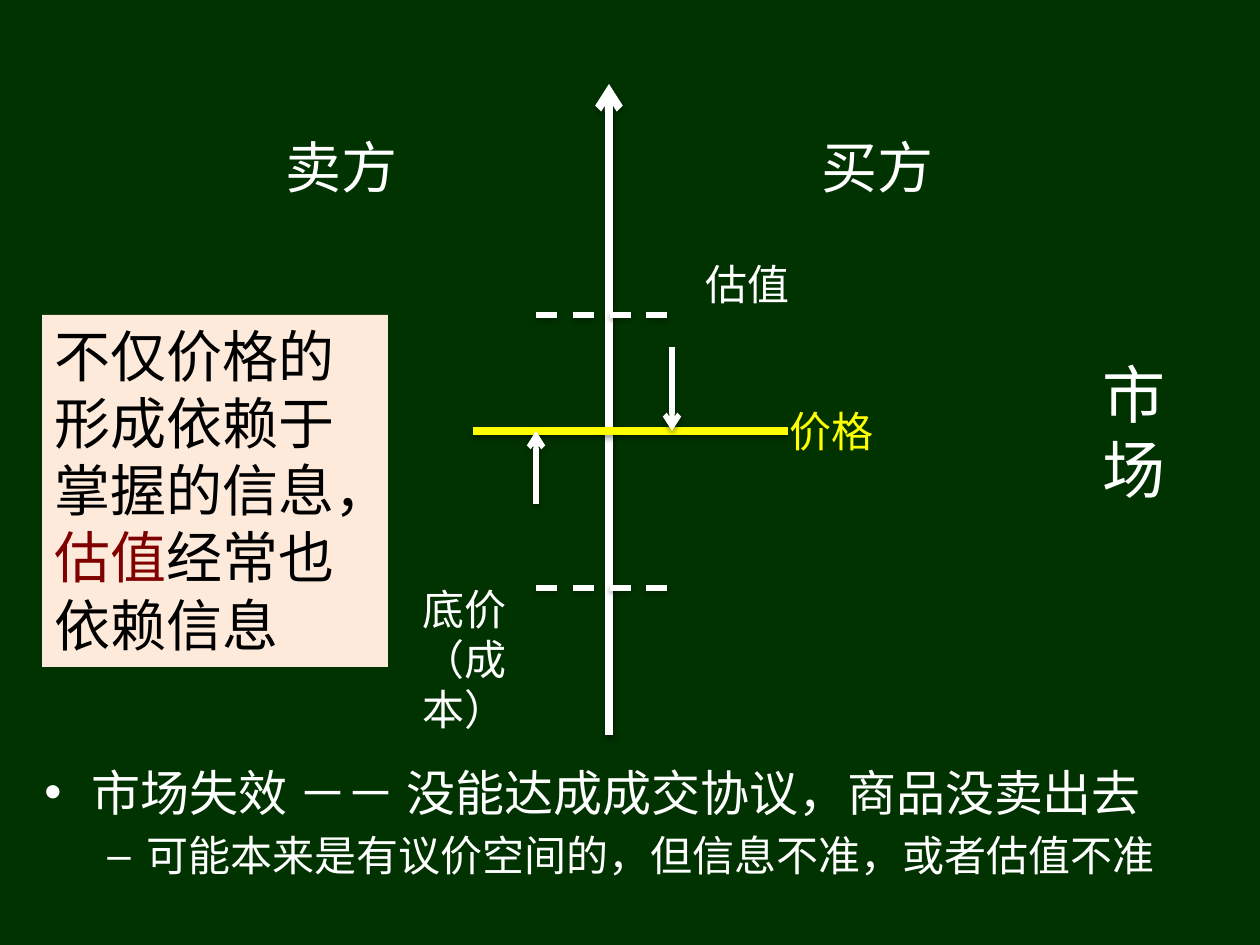
"""Build the slide on price formation and market failure."""
import pptx
import pptx.dml.color
import pptx.enum.dml
import pptx.enum.shapes
import pptx.enum.text
import pptx.oxml
import pptx.oxml.ns
import pptx.util

PX = 914400 / 126
FONT = "Noto Sans CJK SC"
NS = pptx.oxml.ns.nsdecls("a")
SHADOW = (
    f'<a:effectLst {NS}><a:outerShdw blurRad="40000" dist="20000" dir="5400000" rotWithShape="0">'
    '<a:srgbClr val="000000"><a:alpha val="38000"/></a:srgbClr></a:outerShdw></a:effectLst>'
)


def rgb(value):
    return pptx.dml.color.RGBColor.from_string(value)


def style(p, size, color):
    for r in p.runs:
        r.font.size = pptx.util.Pt(size)
        r.font.name = FONT
        r.font.color.rgb = rgb(color)
        r.font._element.append(pptx.oxml.parse_xml(f'<a:ea {NS} typeface="{FONT}"/>'))


prs = pptx.Presentation()
prs.slide_width = pptx.util.Inches(10)
prs.slide_height = pptx.util.Inches(7.5)
s = prs.slides.add_slide(prs.slide_layouts[6])
s.background.fill.solid()
s.background.fill.fore_color.rgb = rgb("003300")

lines = [
    ((609, 735, 609, 84), "FFFFFF", 4.5, False, True),
    ((536, 315, 672, 315), "FFFFFF", 3, True, False),
    ((473, 431, 788, 431), "FFFF00", 4.5, False, False),
    ((536, 588, 672, 588), "FFFFFF", 3, True, False),
    ((672, 347, 672, 431), "FFFFFF", 3, False, True),
    ((536, 504, 536, 431), "FFFFFF", 3, False, True),
]
for ends, color, width, dashed, arrow in lines:
    sp = s.shapes.add_connector(
        pptx.enum.shapes.MSO_CONNECTOR.STRAIGHT, *[round(v * PX) for v in ends])
    sp.line.color.rgb = rgb(color)
    sp.line.width = pptx.util.Pt(width)
    if dashed:
        sp.line.dash_style = pptx.enum.dml.MSO_LINE.DASH
    if arrow:
        sp.line._get_or_add_ln().append(pptx.oxml.parse_xml(f'<a:tailEnd {NS} type="arrow"/>'))
    sp._element.spPr.append(pptx.oxml.parse_xml(SHADOW))

labels = [
    ((1071, 179, 126, 504), "市场", 36, "FFFFFF"),
    ((273, 126, 158, 81), "卖方", 32, "FFFFFF"),
    ((809, 126, 158, 81), "买方", 32, "FFFFFF"),
    ((693, 252, 116, 64), "估值", 24, "FFFFFF"),
    ((410, 577, 168, 115), "底价\n（成本）", 24, "FFFFFF"),
    ((777, 399, 158, 64), "价格", 24, "FFFF00"),
]
for box, text, size, color in labels:
    sp = s.shapes.add_textbox(*[round(v * PX) for v in box])
    tf = sp.text_frame
    tf.word_wrap = True
    tf.text = text
    for p in tf.paragraphs:
        style(p, size, color)
    if text == "市场":
        tf.vertical_anchor = pptx.enum.text.MSO_ANCHOR.MIDDLE
        tf.paragraphs[0].alignment = pptx.enum.text.PP_ALIGN.CENTER

sp = s.shapes.add_shape(
    pptx.enum.shapes.MSO_SHAPE.RECTANGLE, *[round(v * PX) for v in (42, 315, 346, 352)])
sp.shadow.inherit = False
sp.fill.solid()
sp.fill.fore_color.rgb = rgb("FDEADA")
sp.line.fill.background()
tf = sp.text_frame
tf.word_wrap = True
tf.vertical_anchor = pptx.enum.text.MSO_ANCHOR.TOP
p = tf.paragraphs[0]
p.alignment = pptx.enum.text.PP_ALIGN.LEFT
for text in ("不仅价格的形成依赖于掌握的信息，", "估值", "经常也依赖信息"):
    p.add_run().text = text
style(p, 32, "000000")
p.runs[1].font.color.rgb = rgb("800000")

sp = s.shapes.add_textbox(*[round(v * PX) for v in (32, 756, 1197, 168)])
tf = sp.text_frame
tf.word_wrap = True
tf.text = "市场失效 －－ 没能达成成交协议，商品没卖出去\n可能本来是有议价空间的，但信息不准，或者估值不准"
bullets = [("•", 28, 47, -47, 6), ("–", 24, 102, -39, 5)]
for level, (p, (mark, size, margin, indent, gap)) in enumerate(zip(tf.paragraphs, bullets)):
    style(p, size, "FFFFFF")
    p.level = level
    p.space_before = pptx.util.Pt(gap)
    pPr = p._p.get_or_add_pPr()
    pPr.set("marL", str(round(margin * PX)))
    pPr.set("indent", str(round(indent * PX)))
    pPr.append(pptx.oxml.parse_xml(f'<a:buFont {NS} typeface="Arial"/>'))
    pPr.append(pptx.oxml.parse_xml(f'<a:buChar {NS} char="{mark}"/>'))

prs.save("out.pptx")
